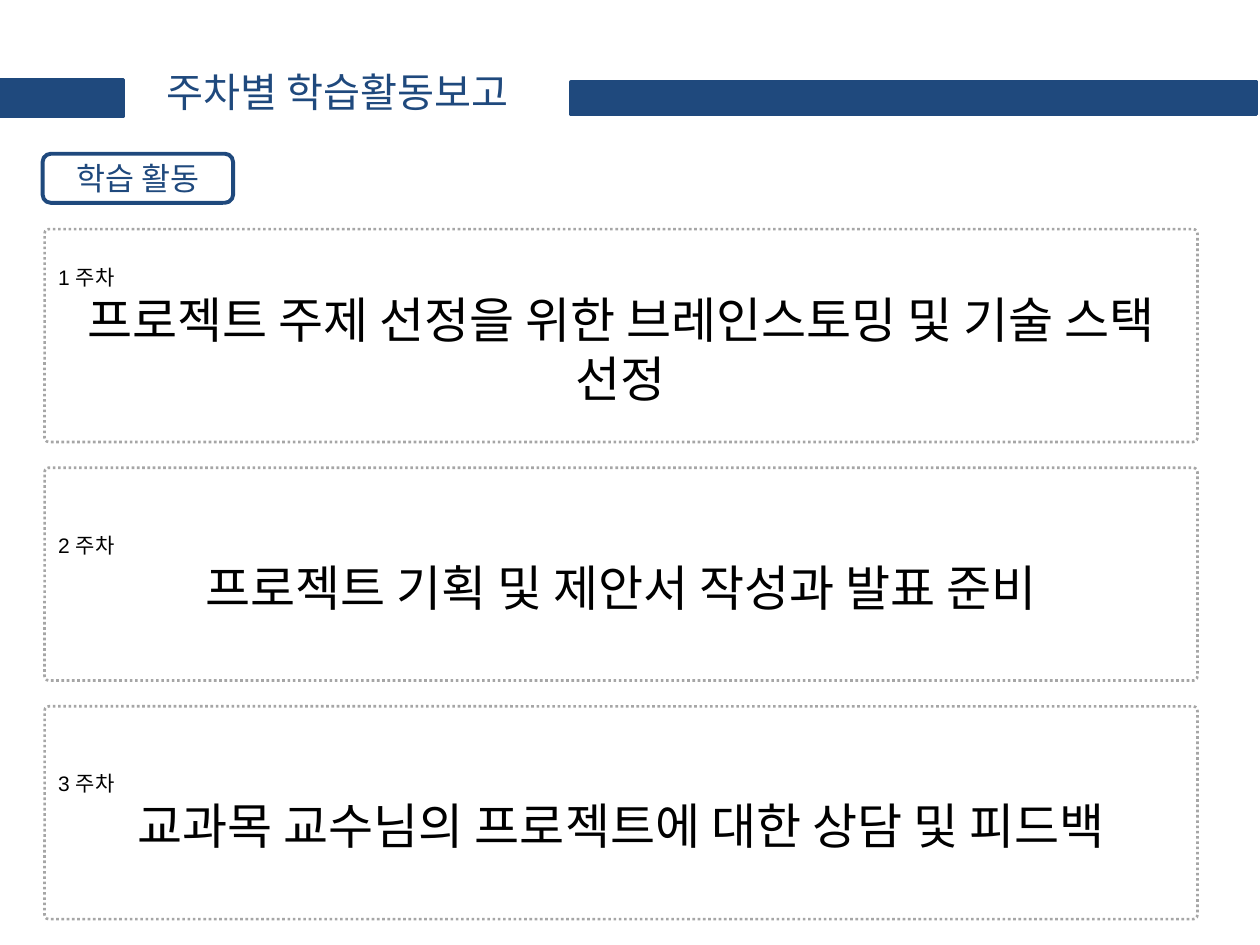
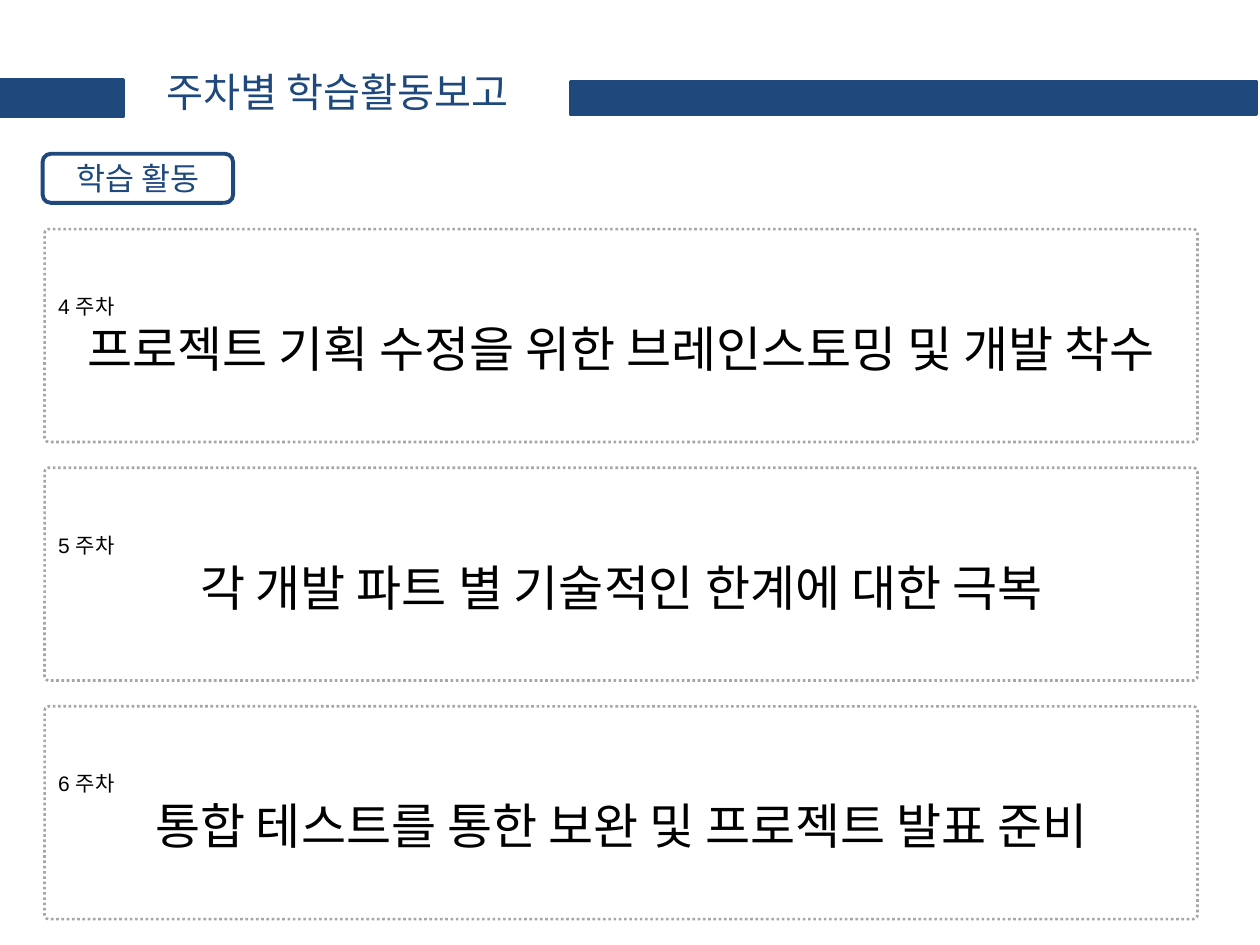
from pptx import Presentation
from pptx import util as u
from pptx.dml.color import RGBColor
from pptx.enum import dml, shapes, text

NAVY, GRAY, BLACK, WHITE = "1F497D", "A6A6A6", "000000", "FFFFFF"
TITLE_FONT, BODY_FONT = "Noto Sans CJK KR", "Arial"
TITLE_ONLY = 5
FIRST_TOP, WEEK_PITCH = 4.62, 4.81

REPORTS = [
    [
        "프로젝트 주제 선정을 위한 브레인스토밍 및 기술 스택 선정",
        "프로젝트 기획 및 제안서 작성과 발표 준비",
        "교과목 교수님의 프로젝트에 대한 상담 및 피드백",
    ],
    [
        "프로젝트 기획 수정을 위한 브레인스토밍 및 개발 착수",
        "각 개발 파트 별 기술적인 한계에 대한 극복",
        "통합 테스트를 통한 보완 및 프로젝트 발표 준비",
    ],
]


def color(value):
    return RGBColor.from_string(value)


class ReportDeck:
    def __init__(self):
        self.deck = Presentation()
        self.deck.slide_width = u.Cm(25.4)
        self.deck.slide_height = u.Cm(19.05)
        self.page = None

    def add_page(self):
        layout = self.deck.slide_layouts[TITLE_ONLY]
        self.page = self.deck.slides.add_slide(layout)

    def style(self, para, size, tint, align, font=BODY_FONT):
        para.alignment = align
        para.font.name = font
        para.font.size = u.Pt(size)
        para.font.color.rgb = color(tint)

    def title(self, words):
        box = self.page.shapes.title
        box.left, box.top = u.Cm(3.1), u.Cm(1.22)
        box.width, box.height = u.Cm(8.41), u.Cm(1.24)
        frame = box.text_frame
        frame.text = words
        frame.word_wrap = True
        frame.auto_size = text.MSO_AUTO_SIZE.NONE
        frame.vertical_anchor = text.MSO_ANCHOR.TOP
        self.style(frame.paragraphs[0], 23, NAVY, text.PP_ALIGN.LEFT, TITLE_FONT)

    def shape(self, kind, place, fill, line, weight):
        box = self.page.shapes.add_shape(kind, *map(u.Cm, place))
        box.shadow.inherit = False
        if fill:
            box.fill.solid()
            box.fill.fore_color.rgb = color(fill)
        else:
            box.fill.background()
        box.line.color.rgb = color(line)
        box.line.width = u.Pt(weight)
        box.text_frame.word_wrap = True
        box.text_frame.vertical_anchor = text.MSO_ANCHOR.MIDDLE
        return box

    def band(self, *place):
        self.shape(shapes.MSO_SHAPE.RECTANGLE, place, NAVY, NAVY, 2)

    def tag(self, words):
        box = self.shape(shapes.MSO_SHAPE.ROUNDED_RECTANGLE,
                         (0.86, 3.1, 3.84, 0.99), WHITE, NAVY, 2.25)
        box.text_frame.text = words
        self.style(box.text_frame.paragraphs[0], 18, NAVY, text.PP_ALIGN.CENTER)

    def week(self, row, number, activity):
        place = (0.9, FIRST_TOP + row * WEEK_PITCH, 23.24, 4.29)
        box = self.shape(shapes.MSO_SHAPE.ROUNDED_RECTANGLE, place, None, GRAY, 1.5)
        box.adjustments[0] = 0.02
        box.line.dash_style = dml.MSO_LINE.ROUND_DOT
        box.text_frame.text = f"{number} 주차\n{activity}"
        label, body = box.text_frame.paragraphs
        self.style(label, 12, BLACK, text.PP_ALIGN.LEFT)
        self.style(body, 28, BLACK, text.PP_ALIGN.CENTER)


def main():
    report = ReportDeck()
    number = 0
    for activities in REPORTS:
        report.add_page()
        report.band(11.51, 1.65, 13.82, 0.66)
        report.band(-0.05, 1.6, 2.54, 0.74)
        report.title("주차별 학습활동보고")
        report.tag("학습 활동")
        for row, activity in enumerate(activities):
            number += 1
            report.week(row, number, activity)
    report.deck.save("out.pptx")


if __name__ == "__main__":
    main()
